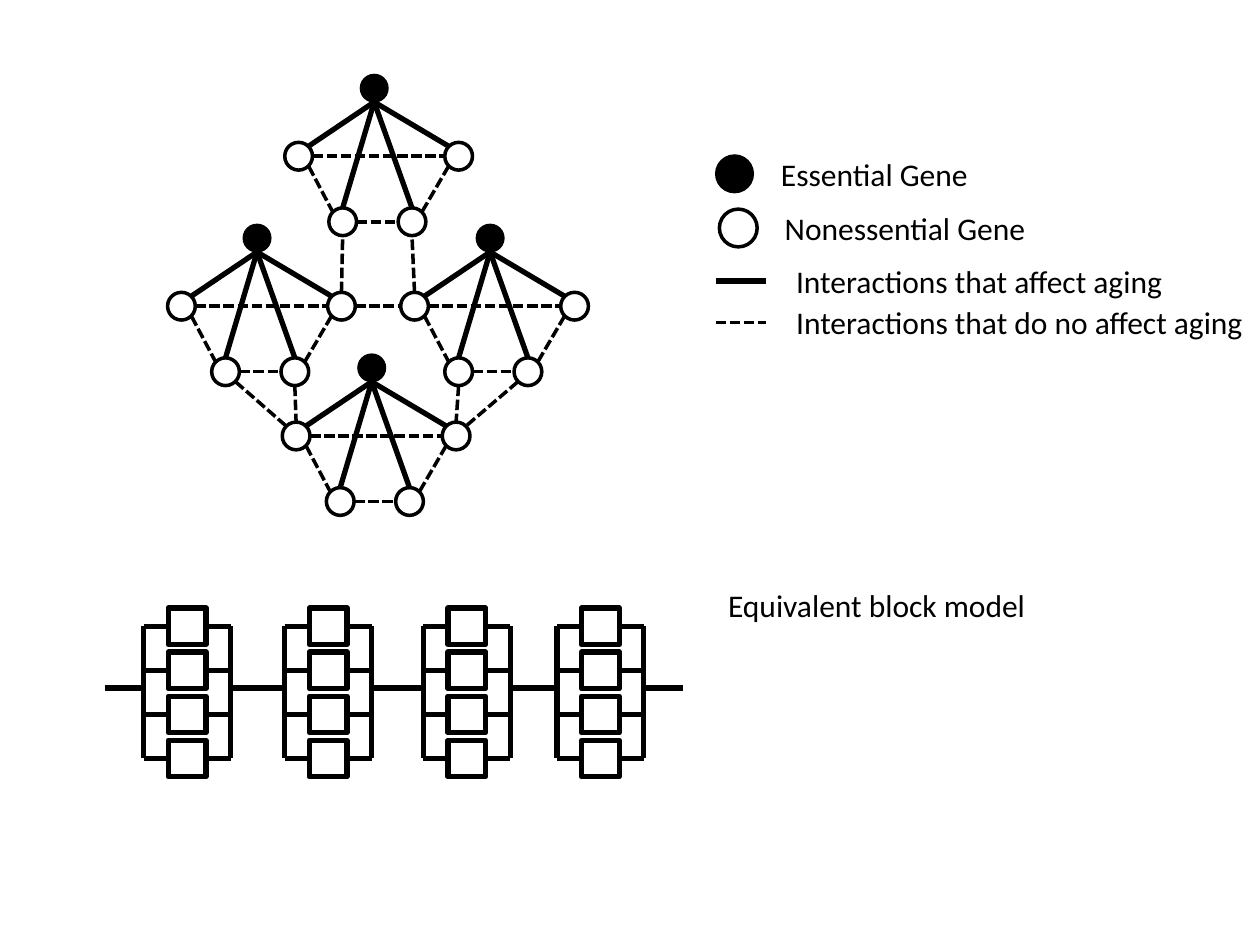
from lxml import etree
from pptx import Presentation
from pptx.dml.color import RGBColor
from pptx.enum import dml, shapes, text
from pptx.oxml import ns
from pptx.util import Inches, Pt

BLACK = RGBColor(0, 0, 0)
WHITE = RGBColor(255, 255, 255)
SOLID = {"width": Pt(3)}
DASHED = {"width": Pt(2), "dash_style": dml.MSO_LINE.SQUARE_DOT}
GENE_SIZE, KEY_SIZE = 0.22, 0.3

# Each module hangs from the bottom of its essential gene
MODULES = {"west": (2.04, 2.0), "east": (3.89, 2.0), "north": (2.97, 0.81), "south": (2.95, 3.03)}
GENES = {"left": (-0.6, 0.43), "right": (0.6 + 0.07, 0.43),
         "low left": (-0.25, 0.95), "low right": (0.3, 0.95)}
COMPASS = {"N": (0, -0.11), "S": (0, 0.11), "W": (-0.11, 0), "E": (0.11, 0),
           "NW": (-0.08, -0.08), "NE": (0.08, -0.08), "SW": (-0.08, 0.08), "SE": (0.08, 0.08)}
AGING_LINKS = [("left", "NE"), ("low left", "N"), ("low right", "N"), ("right", "NW")]
INNER_LINKS = [("low right", "NE", "right", "SW"), ("low left", "E", "low right", "W"),
               ("left", "E", "right", "W"), ("left", "SE", "low left", "NW")]
OUTER_LINKS = [
    ("west", "right", "E", "east", "left", "W"),
    ("west", "right", "N", "north", "low left", "S"),
    ("east", "left", "N", "north", "low right", "S"),
    ("west", "low right", "S", "south", "left", "N"),
    ("east", "low left", "S", "south", "right", "N"),
    ("west", "low left", "SE", "south", "left", "NW"),
    ("east", "low right", "SW", "south", "right", "NE"),
]

BLOCK_LEFTS = [0.83, 1.95, 3.05, 4.11]
LEAD, RAIL_GAP = 0.31, 0.69
ROW_TOP, ROW_STEP, ROWS, AXIS = 4.97, 0.35, 4, 5.46
BOX_WIDTH, BOX_HEIGHT = 0.3, 0.29

KEY_GENES = [(5.83, 1.38, True), (5.86, 1.81, False)]
KEY_LINES = [(2.23, SOLID), (2.56, DASHED)]
LABELS = [
    ("Essential Gene", 6.1, 1.18, 1.7),
    ("Nonessential Gene", 6.13, 1.61, 2.13),
    ("Interactions that affect aging", 6.22, 2.03, 3.14),
    ("Interactions that do no affect aging", 6.22, 2.36, 3.78),
    ("Equivalent block model", 5.68, 4.6, 2.58),
]


def add_line(parent, start, end, style):
    """Draw a straight black line with the given format values."""
    line = parent.add_connector(shapes.MSO_CONNECTOR.STRAIGHT, *map(Inches, (*start, *end)))
    line.line.color.rgb = BLACK
    for name, value in style.items():
        setattr(line.line, name, value)
    etree.SubElement(line._element.spPr, ns.qn("a:effectLst"))


def add_figure(parent, kind, center, size, fill, weight):
    """Draw a black-edged shape around its center."""
    (x, y), (width, height) = center, size
    figure = parent.add_shape(
        kind, *map(Inches, (x - width / 2, y - height / 2, width, height)))
    figure.shadow.inherit = False
    if fill is None:
        figure.fill.background()
    else:
        figure.fill.solid()
        figure.fill.fore_color.rgb = fill
    figure.line.color.rgb = BLACK
    figure.line.width = Pt(weight)


def add_gene(parent, center, size, essential):
    """Draw a filled essential gene or an open nonessential one."""
    fill, weight = (BLACK, 0.75) if essential else (None, 2)
    add_figure(parent, shapes.MSO_SHAPE.OVAL, center, (size, size), fill, weight)


def shift(point, offset):
    """Move a point by an offset."""
    return point[0] + offset[0], point[1] + offset[1]


def port(module, gene, side):
    """Find the point on one side of a gene's circle."""
    return shift(shift(MODULES[module], GENES[gene]), COMPASS[side])


def add_module(parent, module):
    """Draw one essential gene with its four partners and links."""
    apex = MODULES[module]
    add_gene(parent, shift(apex, COMPASS["N"]), GENE_SIZE, True)
    for offset in GENES.values():
        add_gene(parent, shift(apex, offset), GENE_SIZE, False)
    for gene, side in AGING_LINKS:
        add_line(parent, apex, port(module, gene, side), SOLID)
    for gene, side, other, other_side in INNER_LINKS:
        add_line(parent, port(module, gene, side), port(module, other, other_side), DASHED)


def add_block(parent, left):
    """Draw four parallel boxes between two rails with leads."""
    rails = left + LEAD, left + LEAD + RAIL_GAP
    for row in range(ROWS):
        y = ROW_TOP + row * ROW_STEP
        add_line(parent, (rails[0], y), (rails[1], y), SOLID)
        add_figure(parent, shapes.MSO_SHAPE.RECTANGLE, (sum(rails) / 2, y),
                   (BOX_WIDTH, BOX_HEIGHT), WHITE, 3)
    for rail, lead_start in zip(rails, (left, rails[1])):
        add_line(parent, (rail, ROW_TOP), (rail, ROW_TOP + (ROWS - 1) * ROW_STEP), SOLID)
        add_line(parent, (lead_start, AXIS), (lead_start + LEAD, AXIS), SOLID)


def add_label(parent, words, left, top, width):
    """Write one line of text."""
    label = parent.add_textbox(*map(Inches, (left, top, width, 0.4))).text_frame
    label.word_wrap = False
    label.auto_size = text.MSO_AUTO_SIZE.SHAPE_TO_FIT_TEXT
    run = label.paragraphs[0].add_run()
    run.text = words
    for name, value in {"name": "Calibri", "size": Pt(18)}.items():
        setattr(run.font, name, value)
    run.font.color.rgb = BLACK


deck = Presentation()
deck.slide_width, deck.slide_height = Inches(10), Inches(7.5)
canvas = deck.slides.add_slide(deck.slide_layouts[6]).shapes

for left in BLOCK_LEFTS:
    add_block(canvas.add_group_shape().shapes, left)
for module in MODULES:
    add_module(canvas.add_group_shape().shapes, module)
for module, gene, side, other, other_gene, other_side in OUTER_LINKS:
    add_line(canvas, port(module, gene, side), port(other, other_gene, other_side), DASHED)
for x, y, essential in KEY_GENES:
    add_gene(canvas, (x, y), KEY_SIZE, essential)
for y, style in KEY_LINES:
    add_line(canvas, (5.68, y), (6.08, y), style)
for label in LABELS:
    add_label(canvas, *label)

deck.save("out.pptx")
